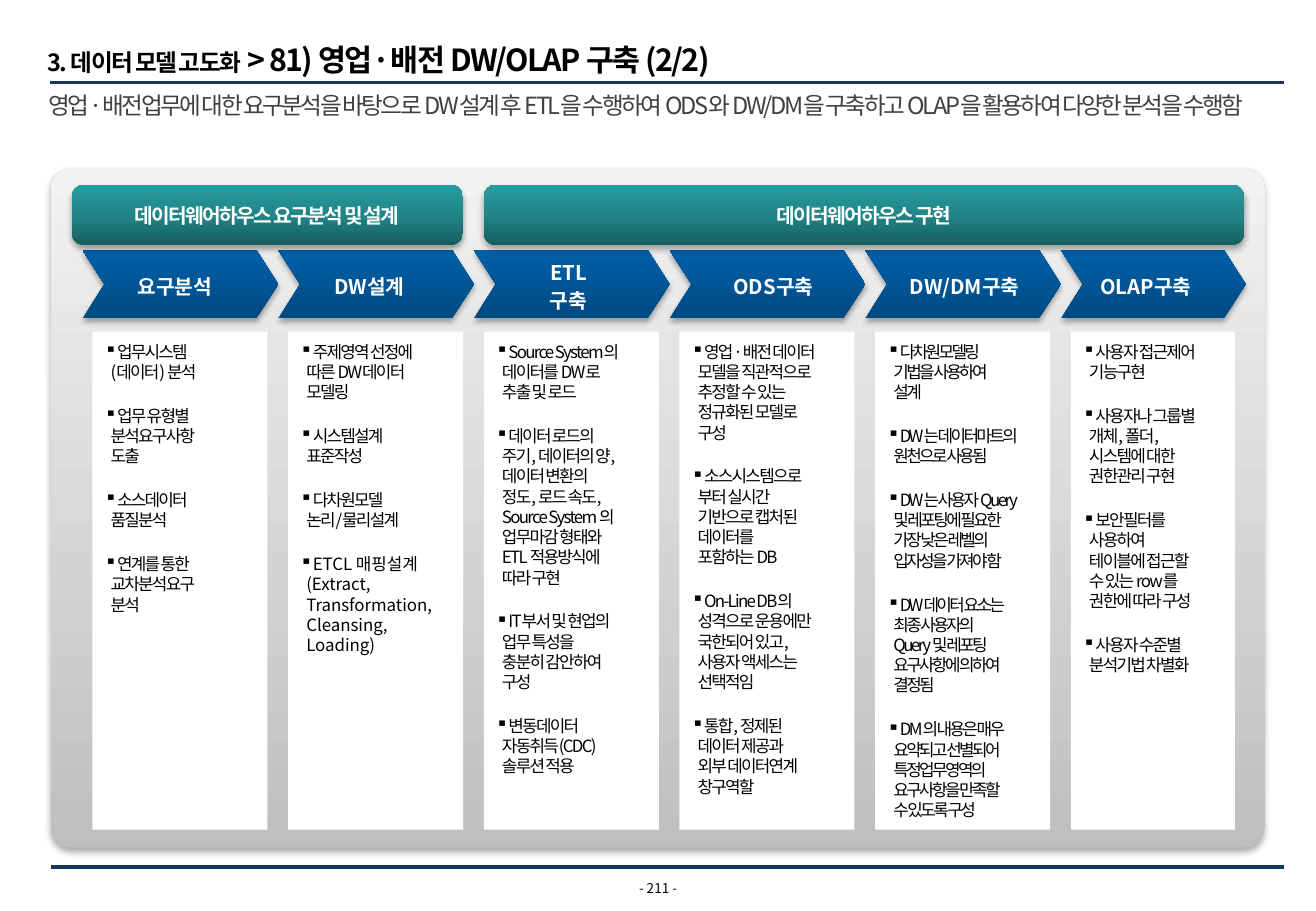
from dataclasses import dataclass
from lxml.etree import SubElement
from pptx import Presentation
from pptx.dml.color import RGBColor
from pptx.enum.shapes import MSO_CONNECTOR, MSO_SHAPE as SHAPE
from pptx.enum.text import MSO_ANCHOR as ANCHOR, PP_ALIGN as ALIGN
from pptx.oxml.ns import qn
from pptx.util import Inches, Pt

FONT = "Noto Sans CJK KR"
WHITE = RGBColor(0xFF, 0xFF, 0xFF)
BLACK = RGBColor(0, 0, 0)
GRAPHITE = RGBColor(0x40, 0x40, 0x40)
NAVY = RGBColor(0x17, 0x37, 0x5E)
SILVER = (RGBColor(0xBF, 0xBF, 0xBF), RGBColor(0xF2, 0xF2, 0xF2))
BLUE = (RGBColor(0x00, 0x4A, 0x82), RGBColor(0x00, 0x60, 0xA8))
TEAL = (RGBColor(0x17, 0x5D, 0x5F), RGBColor(0x21, 0x85, 0x88), RGBColor(0x27, 0x9D, 0xA1))

PITCH = 14.87
CHEVRON_LEFT, PANEL_LEFT = 6.28, 7.02
LAST_TRIM = 0.83


@dataclass
class Stage:
    """One step of the process: heading, its centre and its bullet items."""
    heading: str
    centre: float
    items: list
    tracking: float = -1
    loose_item: str = ""


STAGES = [
    Stage("요구분석", 13.3, [
        "업무시스템\n(데이터) 분석", "업무 유형별\n분석요구사항\n도출",
        "소스데이터\n품질분석", "연계를 통한\n교차분석요구\n분석"]),
    Stage("DW설계", 28.07, [
        "주제영역 선정에\n따른 DW데이터\n모델링", "시스템설계\n표준작성",
        "다차원모델\n논리/물리설계"],
        loose_item="ETCL 매핑설계\n(Extract,\nTransformation,\nCleansing,\nLoading)"),
    Stage("ETL\n구축", 43.21, [
        "Source System의\n데이터를 DW로\n추출 및 로드",
        "데이터 로드의\n주기, 데이터의 양,\n데이터 변환의\n정도, 로드 속도,\n"
        "Source System 의\n업무마감 형태와\nETL 적용방식에\n따라 구현",
        "IT부서 및 현업의\n업무 특성을\n충분히 감안하여\n구성",
        "변동데이터\n자동취득(CDC)\n솔루션 적용"]),
    Stage("ODS구축", 58.77, [
        "영업·배전 데이터\n모델을 직관적으로\n추정할 수 있는\n정규화된 모델로\n구성",
        "소스시스템으로\n부터 실시간\n기반으로 캡처된\n데이터를\n포함하는 DB",
        "On-Line DB의\n성격으로 운용에만\n국한되어 있고,\n사용자 액세스는\n선택적임",
        "통합, 정제된\n데이터 제공과\n외부 데이터연계\n창구역할"]),
    Stage("DW/DM구축", 73.31, [
        "다차원모델링\n기법을 사용하여\n설계", "DW는 데이터마트의\n원천으로 사용됨",
        "DW는 사용자 Query\n및 레포팅에 필요한\n가장 낮은 레벨의\n입자성을 가져야 함",
        "DW데이터 요소는\n최종 사용자의\nQuery 및 레포팅\n요구사항에 의하여\n결정됨",
        "DM의 내용은 매우\n요약되고 선별되어\n특정업무영역의\n요구사항을 만족할\n수 있도록 구성"],
        tracking=-1.5),
    Stage("OLAP구축", 87.07, [
        "사용자 접근제어\n기능구현", "사용자나 그룹별\n개체, 폴더,\n시스템에 대한\n권한관리 구현",
        "보안필터를\n사용하여\n테이블에 접근할\n수 있는 row를\n권한에 따라 구성",
        "사용자 수준별\n분석기법 차별화"]),
]


class Sheet:
    """Slide builder whose lengths are percentages of the slide's size."""

    def __init__(self, deck):
        self.deck = deck
        self.slide = deck.slides.add_slide(deck.slide_layouts[6])

    def across(self, share):
        """Length along the slide's width."""
        return int(self.deck.slide_width * share / 100)

    def down(self, share):
        """Length along the slide's height."""
        return int(self.deck.slide_height * share / 100)

    def area(self, left, top, width, height):
        """Position and size of an element."""
        return self.across(left), self.down(top), self.across(width), self.down(height)

    def style(self, run, size, color, bold=False, tracking=0):
        """Format one run."""
        run.font.size, run.font.bold, run.font.name = Pt(size), bold, FONT
        run.font.color.rgb = color
        props = run._r.get_or_add_rPr()
        props.set("spc", str(int(tracking * 100)))
        SubElement(props, qn("a:ea")).set("typeface", FONT)

    def compose(self, paragraph, wording, size, color, pitch, align=ALIGN.LEFT, **look):
        """Fill a paragraph with evenly formatted text."""
        paragraph.text = wording
        paragraph.alignment = align
        paragraph.line_spacing = Pt(pitch)
        for run in paragraph.runs:
            self.style(run, size, color, **look)

    def frame(self, shape, insets=(0, 0), anchor=ANCHOR.TOP):
        """Prepare a text frame with left and top insets."""
        frame = shape.text_frame
        frame.word_wrap = True
        frame.vertical_anchor = anchor
        frame.margin_left, frame.margin_top = map(Inches, insets)
        frame.margin_right = frame.margin_bottom = 0
        return frame

    def text(self, place, wording, size, color, pitch, insets=(0, 0), anchor=ANCHOR.TOP, **look):
        """Add a text box and return its paragraph."""
        frame = self.frame(self.slide.shapes.add_textbox(*self.area(*place)), insets, anchor)
        self.compose(frame.paragraphs[0], wording, size, color, pitch, **look)
        return frame.paragraphs[0]

    def rule(self, left, right, level):
        """Add a horizontal line."""
        y = self.down(level)
        line = self.slide.shapes.add_connector(
            MSO_CONNECTOR.STRAIGHT, self.across(left), y, self.across(right), y)
        line.line.color.rgb, line.line.width = NAVY, Pt(2.25)
        SubElement(line._element.spPr, qn("a:effectLst"))

    def block(self, kind, place, colors, bend=None):
        """Add a shape; several colours make a raised gradient from the bottom up."""
        shape = self.slide.shapes.add_shape(kind, *self.area(*place))
        shape.line.fill.background()
        shape.shadow.inherit = False
        if bend is not None:
            shape.adjustments[0] = bend
        if len(colors) == 1:
            shape.fill.solid()
            shape.fill.fore_color.rgb = colors[0]
            return shape
        shape.fill.gradient()
        shape.fill.gradient_angle = 90
        props = shape._element.spPr
        stops = props.find(".//" + qn("a:gsLst"))
        stops.clear()
        for index, color in enumerate(colors):
            stop = SubElement(stops, qn("a:gs"), pos=str(100000 * index // (len(colors) - 1)))
            SubElement(stop, qn("a:srgbClr"), val=str(color))
        shadow = SubElement(props.find(qn("a:effectLst")), qn("a:outerShdw"),
                            blurRad=str(Pt(3.5)), dist=str(Pt(2.2)), dir="5400000", rotWithShape="0")
        tone = SubElement(shadow, qn("a:srgbClr"), val=str(BLACK))
        SubElement(tone, qn("a:alpha"), val="32000")
        return shape

    def banner(self, left, width, wording):
        """Add a phase heading above the chevrons."""
        shape = self.block(SHAPE.ROUNDED_RECTANGLE, (left, 20.27, width, 6.67), TEAL, 0.21)
        frame = self.frame(shape, anchor=ANCHOR.MIDDLE)
        self.compose(frame.paragraphs[0], wording, 12, WHITE, 14.4, ALIGN.CENTER, bold=True, tracking=-1)

    def stage(self, column, stage):
        """Add the chevron, heading and bullet panel of one stage."""
        trim = LAST_TRIM if column == len(STAGES) - 1 else 0
        offset = column * PITCH
        self.block(SHAPE.CHEVRON, (CHEVRON_LEFT + offset, 27.47, PITCH - trim, 7.47), BLUE, 0.32)
        self.text((stage.centre - 6.5, 27.07, 13, 8.4), stage.heading, 12, WHITE, 16.6,
                  anchor=ANCHOR.MIDDLE, align=ALIGN.CENTER, bold=True)
        panel = self.block(SHAPE.RECTANGLE, (PANEL_LEFT + offset, 36.4, 13.3 - trim, 54.67), (WHITE,))
        frame = self.frame(panel, (0, 0.08))
        entries = [(item, stage.tracking) for item in stage.items]
        if stage.loose_item:
            entries.append((stage.loose_item, 0))
        for index, (item, tracking) in enumerate(entries):
            paragraph = frame.add_paragraph() if index else frame.paragraphs[0]
            props = paragraph._p.get_or_add_pPr()
            props.set("marL", str(Inches(0.15)))
            props.set("indent", str(-Inches(0.05)))
            SubElement(props, qn("a:buChar"), char="▪")
            self.compose(paragraph, item, 10, BLACK, 12, tracking=tracking)
            if index:
                paragraph.space_before = Pt(14)


def main():
    """Build and save the slide."""
    deck = Presentation()
    deck.slide_width, deck.slide_height = Inches(10.83), Inches(7.5)
    sheet = Sheet(deck)
    sheet.rule(3.79, 97.6, 9.07)
    sheet.rule(3.88, 97.6, 95.2)
    sheet.text((46.91, 96.67, 6.19, 1.73), "- 211 -", 8, BLACK, 9.6,
               anchor=ANCHOR.MIDDLE, align=ALIGN.CENTER)
    title = sheet.text((1.75, 2.4, 98.43, 6.13), "3. 데이터 모델 고도화", 14, BLACK, 21.6,
                       (0.2, 0.16), bold=True, tracking=-1)
    topic = title.add_run()
    topic.text = " > 81) 영업·배전 DW/OLAP 구축 (2/2)"
    sheet.style(topic, 18, BLACK, True, -1)
    sheet.text((2.77, 9.33, 93.81, 7.6),
               "영업·배전업무에 대한 요구분석을 바탕으로 DW설계 후 ETL을 수행하여 ODS와 DW/DM을 "
               "구축하고 OLAP을 활용하여 다양한 분석을 수행함",
               14, GRAPHITE, 16.6, (0.1, 0.05), tracking=-1.5)
    sheet.block(SHAPE.ROUNDED_RECTANGLE, (3.88, 18.53, 92.24, 74.53), SILVER, 0.03)
    for column, stage in enumerate(STAGES):
        sheet.stage(column, stage)
    sheet.banner(5.45, 29.73, "데이터웨어하우스 요구분석 및 설계")
    sheet.banner(36.75, 57.8, "데이터웨어하우스 구현")
    deck.save("out.pptx")


if __name__ == "__main__":
    main()
